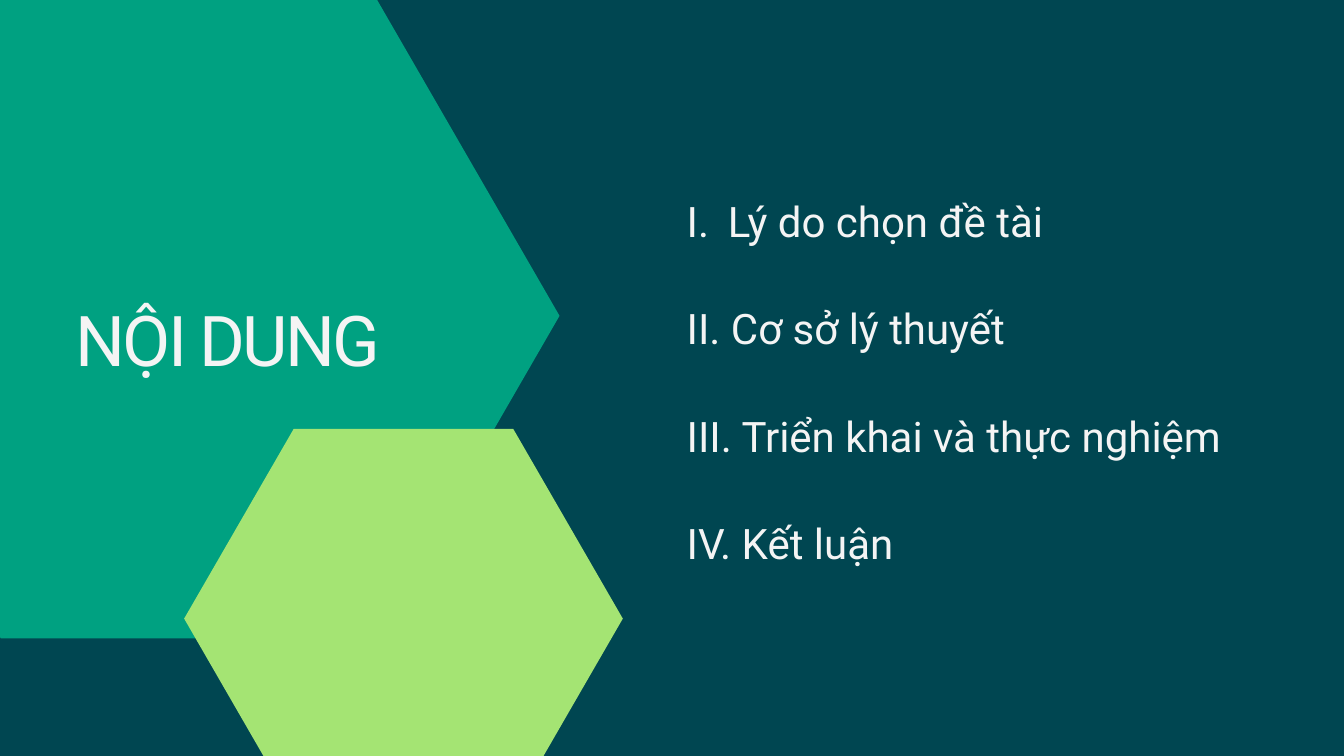
from lxml import etree
from pptx import Presentation
from pptx import util as u
from pptx.dml.color import RGBColor
from pptx.enum import shapes, text
from pptx.oxml.ns import qn

NAVY = RGBColor(0x00, 0x46, 0x51)
TEAL = RGBColor(0x00, 0xA1, 0x81)
LIME = RGBColor(0xA4, 0xE4, 0x73)
WHITE = RGBColor(0xF4, 0xF4, 0xF4)

FRAME_FORMAT = {
    "margin_left": 0,
    "margin_top": 0,
    "margin_right": 0,
    "margin_bottom": 0,
    "word_wrap": True,
    "auto_size": text.MSO_AUTO_SIZE.SHAPE_TO_FIT_TEXT,
    "vertical_anchor": text.MSO_ANCHOR.TOP,
}
HEXAGON_INSET = 0.2887
ITEMS = [
    "I.\tLý do chọn đề tài",
    "II. Cơ sở lý thuyết",
    "III. Triển khai và thực nghiệm",
    "IV. Kết luận",
]
ITEM_TOP = 200.9
ITEM_PITCH = 114.7
ITEM_TAB = 44


def set_attributes(target, values):
    for name, value in values.items():
        setattr(target, name, value)


def add_hexagon(slide, left, top, width, height, color):
    shape = slide.shapes.add_shape(
        shapes.MSO_SHAPE.HEXAGON, u.Pt(left), u.Pt(top), u.Pt(width), u.Pt(height)
    )
    shape.adjustments[0] = HEXAGON_INSET
    shape.shadow.inherit = False
    shape.fill.solid()
    shape.fill.fore_color.rgb = color
    shape.line.fill.background()


def add_tab_stop(paragraph, position):
    properties = paragraph._p.get_or_add_pPr()
    tabs = etree.SubElement(properties, qn("a:tabLst"))
    etree.SubElement(tabs, qn("a:tab"), pos=str(u.Pt(position)), algn="l")


def format_text(shape, content, size, line_spacing):
    frame = shape.text_frame
    set_attributes(frame, FRAME_FORMAT)
    frame.text = content
    paragraph = frame.paragraphs[0]
    set_attributes(paragraph, {
        "alignment": text.PP_ALIGN.LEFT,
        "line_spacing": u.Pt(line_spacing),
        "space_before": u.Pt(0),
    })
    if "\t" in content:
        add_tab_stop(paragraph, ITEM_TAB)
    run = paragraph.runs[0]
    set_attributes(run.font, {"name": "Roboto", "size": u.Pt(size)})
    run.font.color.rgb = WHITE
    return run


def place_title(slide, content):
    title = slide.shapes.title
    set_attributes(title, {
        "left": u.Pt(80.6),
        "top": u.Pt(317.5),
        "width": u.Pt(594),
        "height": u.Pt(90.7),
    })
    run = format_text(title, content, 75, 90)
    run._r.get_or_add_rPr().set("spc", "-280")
    slide.shapes.element.append(title.element)


def add_items(slide, items):
    for index, item in enumerate(items):
        top = ITEM_TOP + index * ITEM_PITCH
        shape = slide.shapes.add_textbox(u.Pt(735.8), u.Pt(top), u.Pt(623.5), u.Pt(59))
        format_text(shape, item, 45, 63)


def main():
    presentation = Presentation()
    presentation.slide_width = u.Pt(1440)
    presentation.slide_height = u.Pt(810)
    slide = presentation.slides.add_slide(presentation.slide_layouts[5])
    slide.background.fill.solid()
    slide.background.fill.fore_color.rgb = NAVY

    add_hexagon(slide, -198.7, -7.2, 798.2, 691.2, TEAL)
    add_hexagon(slide, 197.3, 459.4, 470, 406.8, LIME)
    place_title(slide, "NỘI DUNG")
    add_items(slide, ITEMS)
    presentation.save("out.pptx")


if __name__ == "__main__":
    main()
